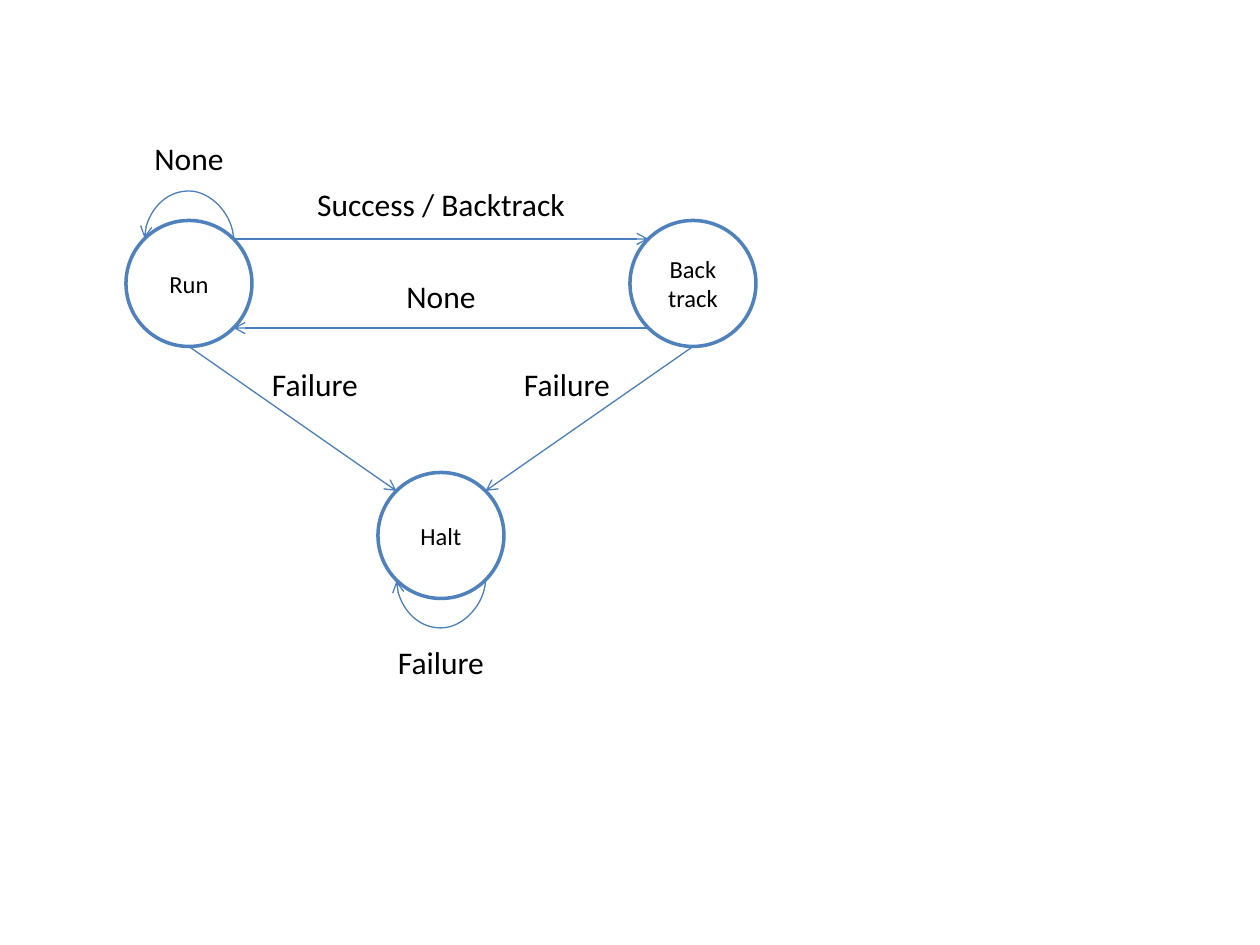
import math
import pptx
import pptx.util
import pptx.dml.color
import pptx.enum.shapes
import pptx.enum.text
import pptx.oxml
import pptx.oxml.ns
import lxml.etree

Pt = pptx.util.Pt
RGBColor = pptx.dml.color.RGBColor
qn = pptx.oxml.ns.qn
CONNECTOR = pptx.enum.shapes.MSO_CONNECTOR

WHITE = RGBColor(0xFF, 0xFF, 0xFF)
BLACK = RGBColor(0x00, 0x00, 0x00)
RING = RGBColor(0x4F, 0x81, 0xBD)
ARROW = RGBColor(0x4B, 0x7E, 0xBC)
DIAMETER = 72
LOOP_DEPTH = 28.1
TOP, TOP_LEFT, LEFT, BOTTOM_LEFT, BOTTOM, BOTTOM_RIGHT, RIGHT, TOP_RIGHT = range(8)


def write(tf, text, size=18, color=BLACK, font="Calibri"):
    tf.word_wrap = True
    tf.text = text
    p = tf.paragraphs[0]
    p.alignment = pptx.enum.text.PP_ALIGN.CENTER
    for r in p.runs:
        r.font.size = Pt(size)
        r.font.name = font
        r.font.color.rgb = color


def add_state(s, x, y, text):
    sp = s.shapes.add_shape(pptx.enum.shapes.MSO_SHAPE.OVAL,
                            Pt(x), Pt(y), Pt(DIAMETER), Pt(DIAMETER))
    sp.shadow.inherit = False
    sp.fill.solid()
    sp.fill.fore_color.rgb = WHITE
    sp.line.color.rgb = RING
    sp.line.width = Pt(2)
    sp.text_frame.vertical_anchor = pptx.enum.text.MSO_ANCHOR.MIDDLE
    write(sp.text_frame, text, size=14)
    return sp


def add_label(s, x, y, w, text):
    tb = s.shapes.add_textbox(Pt(x), Pt(y), Pt(w), Pt(29))
    write(tb.text_frame, text)
    tb.text_frame.auto_size = pptx.enum.text.MSO_AUTO_SIZE.SHAPE_TO_FIT_TEXT


def site_point(sp, site):
    angle = math.radians(45 * site)
    radius = DIAMETER / 2
    return (sp.left.pt + radius * (1 - math.sin(angle)),
            sp.top.pt + radius * (1 - math.cos(angle)))


def add_arrow(s, start, start_site, end, end_site, kind=CONNECTOR.STRAIGHT):
    points = site_point(start, start_site) + site_point(end, end_site)
    c = s.shapes.add_connector(kind, *[Pt(v) for v in points])
    c.line.color.rgb = ARROW
    c.line.width = Pt(0.75)
    lxml.etree.SubElement(c.line._get_or_add_ln(), qn("a:tailEnd"), type="arrow")
    lxml.etree.SubElement(c.element.spPr, qn("a:effectLst"))
    joints = c.element.find(".//" + qn("p:cNvCxnSpPr"))
    for tag, sp, site in (("a:stCxn", start, start_site), ("a:endCxn", end, end_site)):
        lxml.etree.SubElement(joints, qn(tag), id=str(sp.shape_id), idx=str(site))
    return c


def add_loop(s, sp, start_site, end_site, above):
    c = add_arrow(s, sp, start_site, sp, end_site, CONNECTOR.CURVE)
    x1, y = site_point(sp, start_site)
    x2, _ = site_point(sp, end_site)
    span = x1 - x2
    c.left, c.top = Pt((x1 + x2 - 1) / 2), Pt(y - span / 2)
    c.width, c.height = Pt(1), Pt(span)
    xfrm = c.element.spPr.find(qn("a:xfrm"))
    for name in ("flipH", "flipV"):
        xfrm.attrib.pop(name, None)
    xfrm.set("rot", str((270 if above else 90) * 60000))
    if above:
        xfrm.set("flipV", "1")
    guides = c.element.spPr.find(qn("a:prstGeom")).find(qn("a:avLst"))
    lxml.etree.SubElement(guides, qn("a:gd"), name="adj1",
                          fmla=f"val {round(LOOP_DEPTH * 100000)}")


def add_state_diagram(s, x, y):
    halt = add_state(s, x + 144, y + 144, "Halt")
    run = add_state(s, x, y, "Run")
    back = add_state(s, x + 288, y, "Back\vtrack")

    for start, start_site, end, end_site in (
        (back, BOTTOM_LEFT, run, BOTTOM_RIGHT),
        (back, BOTTOM, halt, TOP_RIGHT),
        (run, BOTTOM, halt, TOP_LEFT),
        (run, TOP_RIGHT, back, TOP_LEFT),
    ):
        add_arrow(s, start, start_site, end, end_site)
    add_loop(s, halt, BOTTOM_RIGHT, BOTTOM_LEFT, above=False)
    add_loop(s, run, TOP_RIGHT, TOP_LEFT, above=True)

    for dx, dy, w, text in (
        (72, 28.8, 216, "None"),
        (216, 79.2, 72, "Failure"),
        (144, 237.6, 72, "Failure"),
        (0, -50.4, 72, "None"),
        (72, 79.2, 72, "Failure"),
        (72, -23.6, 216, "Success / Backtrack"),
    ):
        add_label(s, x + dx, y + dy, w, text)


prs = pptx.Presentation()
prs.slide_width, prs.slide_height = Pt(720), Pt(540)
s = prs.slides.add_slide(prs.slide_layouts[6])
add_state_diagram(s, 72, 126)
prs.save("out.pptx")
